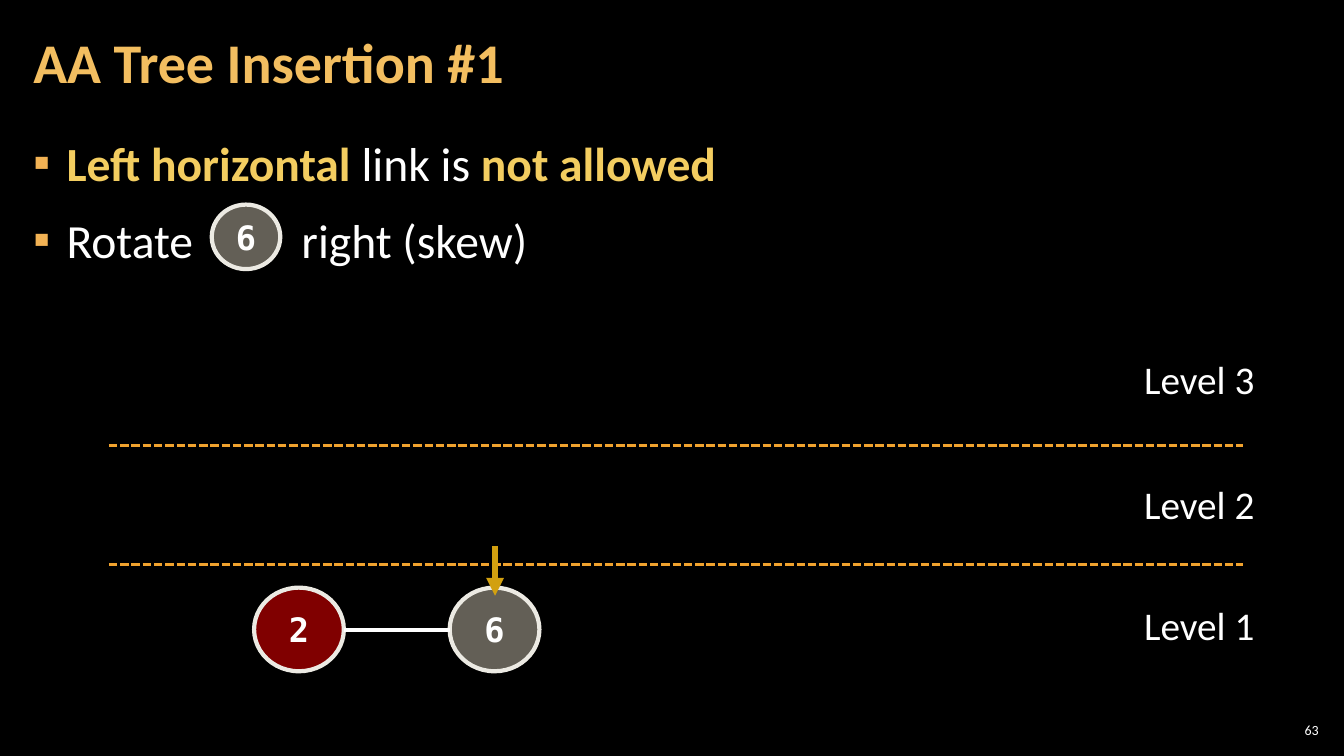
from dataclasses import dataclass
from lxml import etree
from pptx import Presentation
from pptx.dml.color import RGBColor
from pptx.enum.dml import MSO_LINE
from pptx.enum.shapes import MSO_CONNECTOR, MSO_SHAPE
from pptx.enum.text import MSO_ANCHOR, PP_ALIGN
from pptx.oxml.ns import qn
from pptx.util import Inches, Pt

DASH = MSO_LINE.SQUARE_DOT
LINE = MSO_CONNECTOR.STRAIGHT
OVAL = MSO_SHAPE.OVAL
MIDDLE = MSO_ANCHOR.MIDDLE
TOP = MSO_ANCHOR.TOP
LEFT, CENTER, RIGHT = PP_ALIGN.LEFT, PP_ALIGN.CENTER, PP_ALIGN.RIGHT


@dataclass
class Theme:
    font: str = "Calibri"
    mono: str = "DejaVu Sans Mono"
    back: str = "000000"
    text: str = "FFFFFF"
    title: str = "F3BE60"
    key: str = "F3CD60"
    bullet: str = "F2B254"
    dash: str = "F0A22E"
    arrow: str = "D2A010"
    rim: str = "ECEAE3"
    gray: str = "C7BFAC"
    red: str = "FF0000"
    head_size: float = 40
    body_size: float = 34
    label_size: float = 28
    node_size: float = 24
    page_size: float = 10


def color(code):
    return RGBColor.from_string(code)


def add(parent, tag, **attrs):
    return etree.SubElement(parent, qn(tag), attrs)


class Deck:
    def __init__(self, theme):
        self.theme = theme
        self.show = Presentation()
        self.show.slide_width = Inches(13.33)
        self.show.slide_height = Inches(7.5)
        self.slide = self.show.slides.add_slide(self.show.slide_layouts[5])
        fill = self.slide.background.fill
        fill.solid()
        fill.fore_color.rgb = color(theme.back)

    def style(self, run, size, code, bold=False, font=None):
        run.font.name = font or self.theme.font
        run.font.size = Pt(size)
        run.font.bold = bold
        run.font.color.rgb = color(code)

    def place(self, shape, box):
        shape.left, shape.top, shape.width, shape.height = map(Inches, box)

    def inset(self, frame, side, edge, anchor):
        frame.word_wrap = True
        frame.margin_left = frame.margin_right = Inches(side)
        frame.margin_top = frame.margin_bottom = Inches(edge)
        frame.vertical_anchor = anchor

    def title(self, text, box):
        shape = self.slide.shapes.title
        self.place(shape, box)
        frame = shape.text_frame
        frame.text = text
        self.inset(frame, 0.12, 0.04, MIDDLE)
        para = frame.paragraphs[0]
        para.alignment = LEFT
        para.line_spacing = 0.9
        self.style(para.runs[0], self.theme.head_size, self.theme.title, True)

    def bullets(self, items, box, stop):
        shape = self.slide.shapes.add_textbox(*map(Inches, box))
        frame = shape.text_frame
        self.inset(frame, 0.12, 0.04, TOP)
        for i, parts in enumerate(items):
            para = frame.add_paragraph() if i else frame.paragraphs[0]
            para.line_spacing = 1.05
            para.space_before = Pt(6 if i else 0)
            para.space_after = Pt(6)
            props = para._p.get_or_add_pPr()
            props.set("marL", str(Inches(0.33)))
            props.set("indent", str(-Inches(0.33)))
            tint = add(props, "a:buClr")
            add(tint, "a:srgbClr", val=self.theme.bullet)
            add(props, "a:buFont", typeface=self.theme.font)
            add(props, "a:buChar", char="▪")
            tabs = add(props, "a:tabLst")
            add(tabs, "a:tab", pos=str(Inches(stop)), algn="l")
            for text, strong in parts:
                run = para.add_run()
                run.text = text
                code = self.theme.key if strong else self.theme.text
                self.style(run, self.theme.body_size, code, strong)

    def label(self, text, box, size, align=LEFT):
        shape = self.slide.shapes.add_textbox(*map(Inches, box))
        frame = shape.text_frame
        frame.text = text
        if align == RIGHT:
            self.inset(frame, 0.04, 0.04, MIDDLE)
        else:
            frame.word_wrap = False
        para = frame.paragraphs[0]
        para.alignment = align
        self.style(para.runs[0], size, self.theme.text)

    def node(self, text, box, code):
        shape = self.slide.shapes.add_shape(OVAL, *map(Inches, box))
        shape.shadow.inherit = False
        shape.fill.solid()
        shape.fill.fore_color.rgb = color(code)
        tint = shape.fill._xPr.find(qn("a:solidFill"))[0]
        add(tint, "a:alpha", val="50000")
        shape.line.color.rgb = color(self.theme.rim)
        shape.line.width = Pt(3)
        frame = shape.text_frame
        frame.text = text
        frame.word_wrap = False
        frame.vertical_anchor = MIDDLE
        para = frame.paragraphs[0]
        para.alignment = CENTER
        self.style(para.runs[0], self.theme.node_size, self.theme.text,
                   True, self.theme.mono)

    def line(self, ends, code, width, dash=None, head=False):
        link = self.slide.shapes.add_connector(LINE, *map(Inches, ends))
        link.line.color.rgb = color(code)
        link.line.width = Pt(width)
        if dash:
            link.line.dash_style = dash
        if head:
            add(link.line._get_or_add_ln(), "a:tailEnd", type="triangle")
        add(link._element.spPr, "a:effectLst")

    def save(self):
        self.show.save("out.pptx")


def main():
    theme = Theme()
    deck = Deck(theme)
    deck.label("63", (12.65, 7.14, 0.47, 0.21), theme.page_size, RIGHT)
    deck.bullets([
        [("Left horizontal ", True), ("link is ", False),
         ("not allowed", True)],
        [("Rotate\tright (skew)", False)],
    ], (0.21, 1.26, 12.91, 6.09), 2.66)
    deck.title("AA Tree Insertion #1", (0.21, 0.04, 10.47, 1.21))
    for y in (5.6, 4.42):
        deck.line((1.08, y, 12.33, y), theme.dash, 2, DASH)
    for level, y in enumerate((5.92, 4.72, 3.48), 1):
        deck.label(f"Level {level}", (11.25, y, 1.31, 0.57), theme.label_size)
    for text, x, code in (("6", 4.46, theme.gray), ("2", 2.52, theme.red)):
        deck.node(text, (x, 5.83, 0.89, 0.83), code)
    deck.line((4.46, 6.25, 3.41, 6.25), theme.text, 3)
    deck.line((4.91, 5.42, 4.91, 5.91), theme.arrow, 4.25, head=True)
    deck.node("6", (2.1, 2.03, 0.68, 0.64), theme.gray)
    deck.save()


if __name__ == "__main__":
    main()
